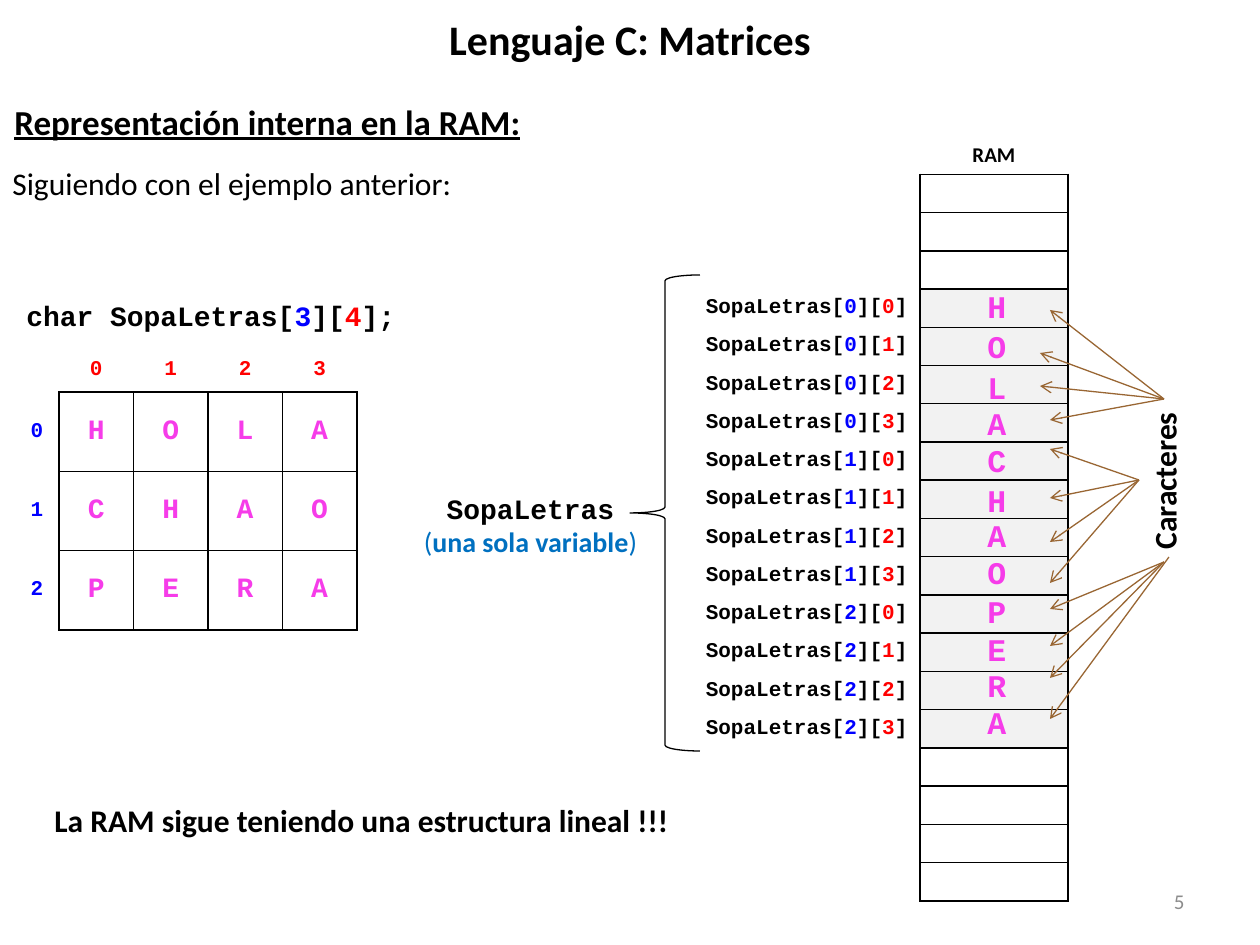
from dataclasses import dataclass
from typing import NamedTuple

from lxml import etree
from pptx import Presentation
from pptx import util as u
from pptx.dml.color import RGBColor
from pptx.enum import shapes, text
from pptx.oxml.ns import qn

SCALE = 914400 / 126
BLACK = RGBColor(0, 0, 0)
WHITE = RGBColor(255, 255, 255)
BLUE = RGBColor(0, 0, 255)
RED = RGBColor(255, 0, 0)
PINK = RGBColor(0xF6, 0x3C, 0xE9)
SKY = RGBColor(0, 0x70, 0xC0)
GRAY = RGBColor(0x8C, 0x8C, 0x8C)
LIGHT = RGBColor(0xF2, 0xF2, 0xF2)
BROWN = RGBColor(0x99, 0x66, 0x33)
SANS, MONO = "Calibri", "Courier New"
LEFT, CENTER, RIGHT = text.PP_ALIGN.LEFT, text.PP_ALIGN.CENTER, text.PP_ALIGN.RIGHT
NO_GRID_STYLE = "{2D5ABB26-0587-4C30-8999-92F81FD0307C}"

WORDS = ["HOLA", "CHAO", "PERA"]
LETTER_TOPS = [281, 321, 362, 398, 435, 475, 510, 547, 586, 624, 660, 697]
RAM_ROWS, FIRST_USED = 20, 4


class Span(NamedTuple):
    words: str
    size: int
    font: str = SANS
    color: RGBColor = BLACK
    bold: bool = True
    underline: bool = False


@dataclass
class Label:
    at: tuple[int, int, int, int]
    lines: list[list[Span]]
    align: text.PP_ALIGN = LEFT
    wrap: bool = True
    grow: bool = True
    rotation: int = 0
    space_after: int = 0


class Fan(NamedTuple):
    start: tuple[int, int]
    tips: list[tuple[int, int]]


def px(length: float) -> u.Emu:
    return u.Emu(round(length * SCALE))


def indexed(name: str, row: int, column: int, size: int, end: str = "]") -> list[Span]:
    """Spans of an array access with a blue row and a red column."""
    parts = [(f"{name}[", BLACK), (str(row), BLUE), ("][", BLACK),
             (str(column), RED), (end, BLACK)]
    return [Span(words, size, MONO, color) for words, color in parts]


def write(para, spans: list[Span], align: text.PP_ALIGN) -> None:
    para.alignment = align
    for span in spans:
        run = para.add_run()
        run.text = span.words
        run.font.color.rgb = span.color
        formats = {"size": u.Pt(span.size), "name": span.font,
                   "bold": span.bold, "underline": span.underline}
        for key, value in formats.items():
            setattr(run.font, key, value)


def add_label(parent, label: Label) -> None:
    box = parent.add_textbox(*map(px, label.at))
    box.rotation = label.rotation
    frame = box.text_frame
    frame.word_wrap = label.wrap
    if label.grow:
        frame.auto_size = text.MSO_AUTO_SIZE.SHAPE_TO_FIT_TEXT
    else:
        frame.vertical_anchor = text.MSO_ANCHOR.MIDDLE
    for number, line in enumerate(label.lines):
        para = frame.add_paragraph() if number else frame.paragraphs[0]
        para.space_after = u.Pt(label.space_after)
        write(para, line, label.align)


def add_table(parent, left: int, top: int, widths: list[float], heights: list[float]):
    frame = parent.add_table(len(heights), len(widths), px(left), px(top),
                             px(sum(widths)), px(sum(heights)))
    table = frame.table
    table.first_row = table.horz_banding = False
    table._tbl.tblPr.find(qn("a:tableStyleId")).text = NO_GRID_STYLE
    for column, width in zip(table.columns, widths):
        column.width = px(width)
    for row, height in zip(table.rows, heights):
        row.height = px(height)
    for cell in table.iter_cells():
        cell.margin_top = cell.margin_bottom = 0
        cell.vertical_anchor = text.MSO_ANCHOR.MIDDLE
        cell.fill.background()
        ending = etree.SubElement(cell.text_frame.paragraphs[0]._p, qn("a:endParaRPr"))
        ending.set("sz", "1200")
    return table


def fill_cell(cell, spans: list[Span], align: text.PP_ALIGN = CENTER) -> None:
    write(cell.text_frame.paragraphs[0], spans, align)


def outline_cell(cell) -> None:
    """Give all four sides a thin black border."""
    properties = cell._tc.get_or_add_tcPr()
    for place, side in enumerate(("lnL", "lnR", "lnT", "lnB")):
        line = etree.Element(qn(f"a:{side}"), w=str(u.Pt(1)))
        solid = etree.SubElement(line, qn("a:solidFill"))
        etree.SubElement(solid, qn("a:srgbClr"), val=str(BLACK))
        properties.insert(place, line)


def add_ram(parent) -> None:
    table = add_table(parent, 669, 136, [251, 148], [765 / RAM_ROWS] * RAM_ROWS)
    fill_cell(table.cell(0, 1), [Span("RAM", 12)])
    used = range(FIRST_USED, FIRST_USED + len(LETTER_TOPS))
    for row in range(RAM_ROWS):
        memory = table.cell(row, 1)
        memory.fill.solid()
        memory.fill.fore_color.rgb = LIGHT if row in used else WHITE
        if row:
            outline_cell(memory)
        if row in used:
            index = divmod(row - FIRST_USED, len(WORDS[0]))
            fill_cell(table.cell(row, 0), indexed("SopaLetras", *index, 12), RIGHT)


def add_matrix(parent) -> None:
    table = add_table(parent, 15, 347, [44] + [298 / 4] * 4, [45] + [238 / 3] * 3)
    for column in range(len(WORDS[0])):
        fill_cell(table.cell(0, column + 1), [Span(str(column), 12, MONO, RED)])
    for row, word in enumerate(WORDS):
        fill_cell(table.cell(row + 1, 0), [Span(str(row), 12, MONO, BLUE)])
        for column, letter in enumerate(word):
            cell = table.cell(row + 1, column + 1)
            outline_cell(cell)
            fill_cell(cell, [Span(letter, 16, MONO, PINK)])


def add_arrow(parent, start: tuple[int, int], tip: tuple[int, int]) -> None:
    arrow = parent.add_connector(shapes.MSO_CONNECTOR.STRAIGHT, *map(px, start + tip))
    arrow.line.color.rgb = BROWN
    arrow.line.width = u.Pt(0.75)
    etree.SubElement(arrow.line._get_or_add_ln(), qn("a:tailEnd"), type="arrow")
    etree.SubElement(arrow._element.spPr, qn("a:effectLst"))


def add_brace(parent) -> None:
    brace = parent.add_shape(shapes.MSO_SHAPE.LEFT_BRACE, *map(px, (630, 275, 70, 476)))
    brace.shadow.inherit = False
    brace.fill.background()
    brace.line.color.rgb = BLACK
    brace.line.width = u.Pt(0.75)


LABELS = [
    Label((2, 94, 984, 55), [[Span("Representación interna en la RAM:", 20, underline=True)]],
          space_after=6),
    Label((0, 158, 478, 50), [[Span("Siguiendo con el ejemplo anterior:", 18, bold=False)]],
          wrap=False),
    Label((410, 485, 241, 81),
          [[Span("SopaLetras", 16, MONO)],
           [Span("(", 16, SANS, SKY, False), Span("una sola variable", 16, SANS, SKY),
            Span(")", 16, SANS, SKY, False)]], CENTER, wrap=False),
    Label((903, 876, 294, 50), [[Span("5", 12, SANS, GRAY, False)]], RIGHT, grow=False),
    Label((14, 292, 437, 47), [indexed("char SopaLetras", 3, 4, 16, "];")], space_after=6),
    Label((42, 795, 651, 50), [[Span("La RAM sigue teniendo una estructura lineal !!!", 18)]]),
]
CHARACTERS = Label((1082, 455, 164, 50), [[Span("Caracteres", 18)]], wrap=False, rotation=270)
FANS = [
    Fan((1164, 399), [(1050, 310), (1040, 353), (1040, 386), (1050, 420)]),
    Fan((1139, 480), [(1050, 449), (1050, 498), (1050, 542), (1050, 583)]),
    Fan((1164, 562), [(1050, 609), (1050, 646), (1050, 678)]),
    Fan((1169, 557), [(1050, 719)]),
]


def main() -> None:
    deck = Presentation()
    deck.slide_width, deck.slide_height = px(1260), px(945)
    page = deck.slides.add_slide(deck.slide_layouts[5])
    title = page.shapes.title
    title.left, title.top, title.width, title.height = map(px, (63, 0, 1134, 78))
    title.text_frame.vertical_anchor = text.MSO_ANCHOR.MIDDLE
    write(title.text_frame.paragraphs[0], [Span("Lenguaje C: Matrices", 24)], CENTER)

    add_ram(page.shapes)
    add_brace(page.shapes)
    add_matrix(page.shapes)
    for label in LABELS:
        add_label(page.shapes, label)
    for letter, top in zip("".join(WORDS), LETTER_TOPS):
        add_label(page.shapes, Label((975, top, 39, 50), [[Span(letter, 18, MONO, PINK)]], CENTER))

    group = page.shapes.add_group_shape()
    add_label(group.shapes, CHARACTERS)
    for fan in FANS:
        for tip in fan.tips:
            add_arrow(group.shapes, fan.start, tip)
    deck.save("out.pptx")


if __name__ == "__main__":
    main()
